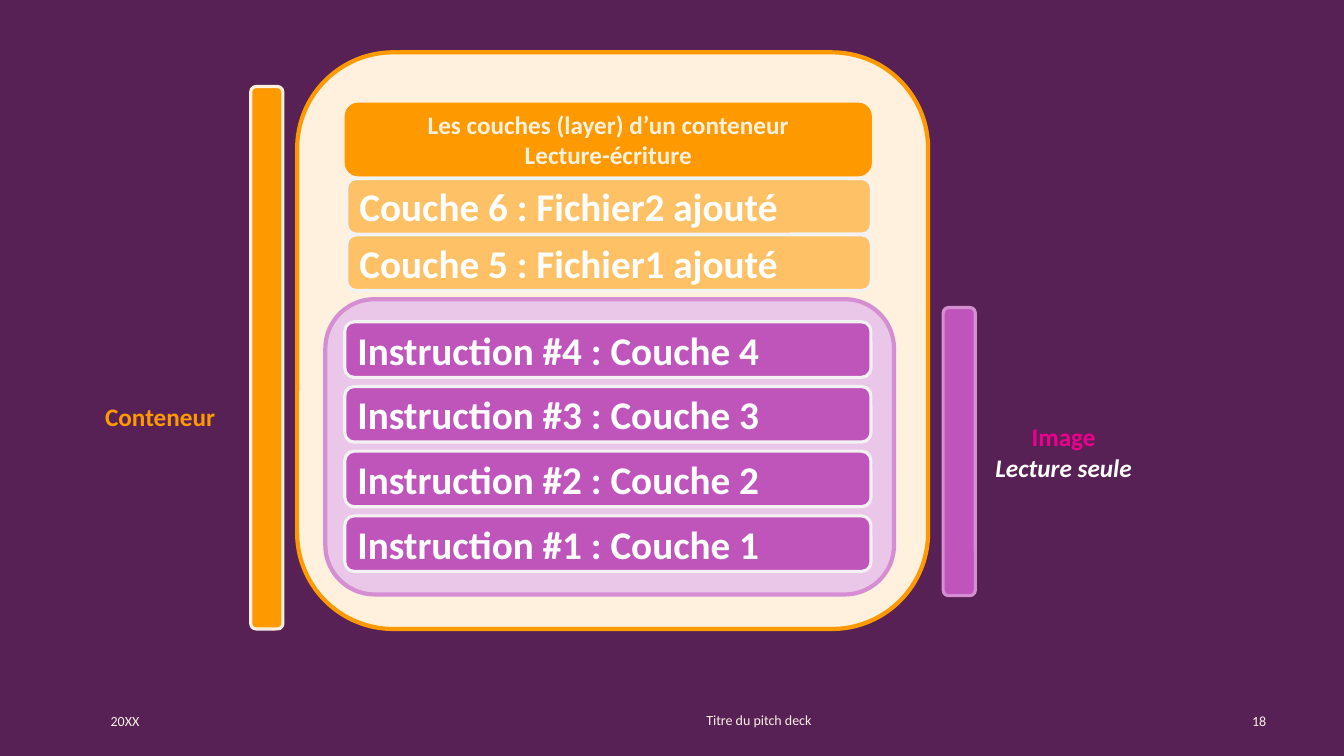
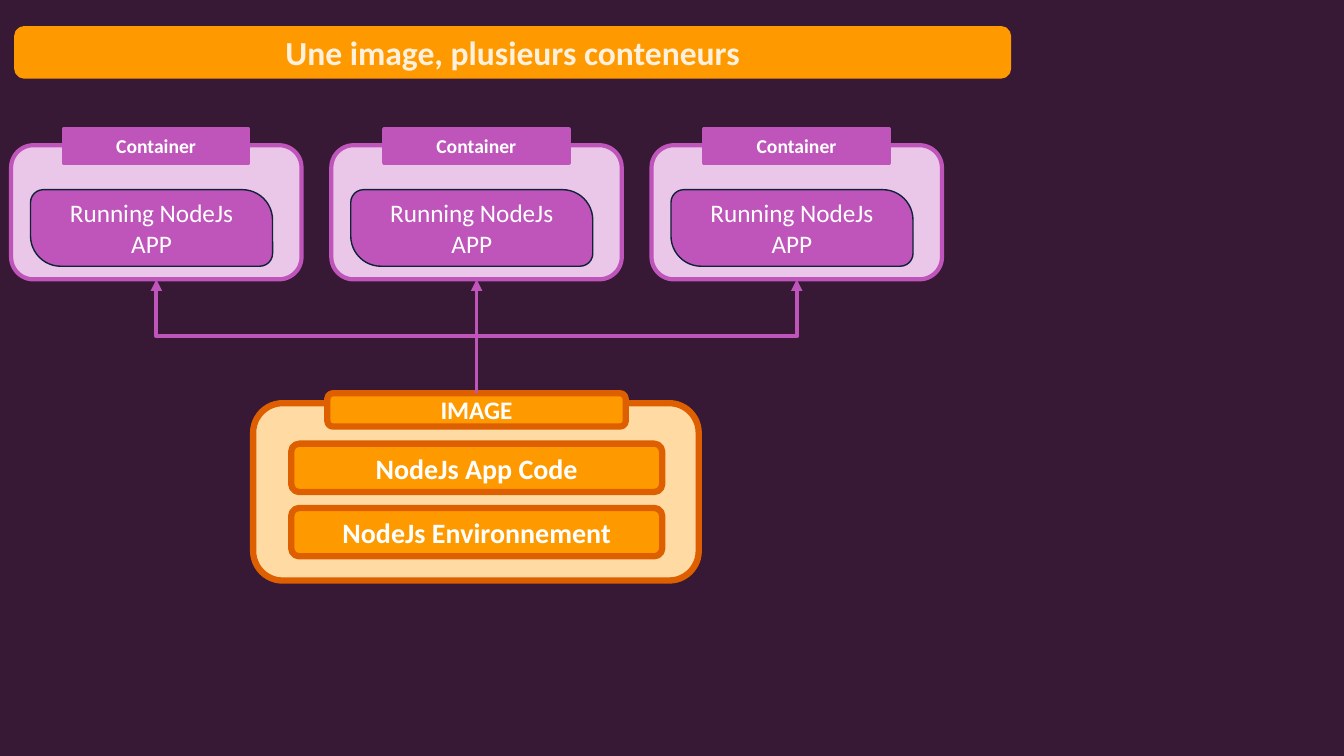
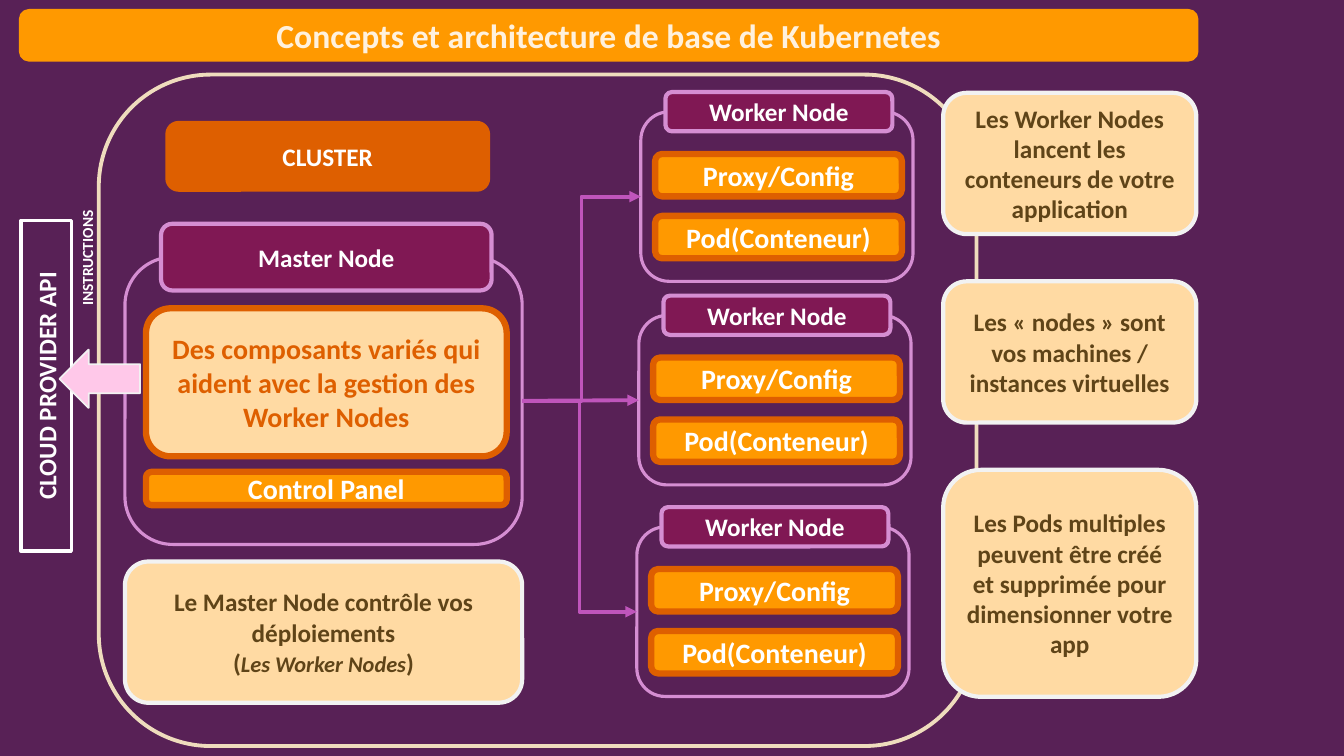
"""Build three slides on container layers, images and Kubernetes architecture."""
from lxml import etree
from pptx import Presentation
from pptx.dml.color import RGBColor
from pptx.enum.shapes import MSO_CONNECTOR as Connector, MSO_SHAPE as Shape
from pptx.enum.text import MSO_ANCHOR as Anchor, MSO_AUTO_SIZE as AutoSize, PP_ALIGN as Align
from pptx.oxml.ns import qn
from pptx.util import Cm, Pt

color = RGBColor.from_string
FONT = "Calibri"
PLUM, DARK_PLUM = "582156", "371835"
WHITE, OFF_WHITE, CREAM, PEACH = "FFFFFF", "F2F2F2", "FFF1DD", "FFDAA3"
ORANGE, BURNT = "FF9900", "DE5F00"
VIOLET, LILAC, PALE_LILAC = "BF55BB", "D58ED2", "EAC6E8"

BAND = dict(fill=ORANGE, line=ORANGE, weight=3)
ORANGE_BOX = dict(fill=ORANGE, line=BURNT, weight=4.5)
PEACH_BOX = dict(fill=PEACH, line=BURNT, weight=4.5)
NODE_FRAME = dict(line=LILAC, weight=2.25)
NODE_LABEL = dict(fill="801854", line=LILAC, weight=3)
NOTE = dict(fill=PEACH, line=OFF_WHITE, weight=3, font_color="5F4418")
LAYER = dict(line=OFF_WHITE, weight=2.25, size=28, align=Align.LEFT)


def write(shape, text, size=18, font_color=WHITE, bold=True, align=Align.CENTER, vertical=False):
    """Fill a shape with text: a line per paragraph, runs separated by bars."""
    frame = shape.text_frame
    frame.word_wrap = True
    frame.auto_size = AutoSize.NONE
    frame.vertical_anchor = Anchor.MIDDLE
    if vertical:
        shape.element.txBody.find(qn("a:bodyPr")).set("vert", "vert270")
    for index, line in enumerate(text.split("\n")):
        paragraph = frame.add_paragraph() if index else frame.paragraphs[0]
        paragraph.alignment = align
        for part in line.split("|"):
            run = paragraph.add_run()
            run.text = part
            run.font.name = FONT
            run.font.size = Pt(size)
            run.font.bold = bold
            run.font.color.rgb = color(font_color)


def add_box(slide, box, text="", kind=Shape.ROUNDED_RECTANGLE, fill=None, line=None, weight=1, **text_format):
    """Add a shape at a box given in centimetres, with optional fill, line and text."""
    shape = slide.shapes.add_shape(kind, *map(Cm, box))
    shape.shadow.inherit = False
    if fill:
        shape.fill.solid()
        shape.fill.fore_color.rgb = color(fill)
    else:
        shape.fill.background()
    if line:
        shape.line.color.rgb = color(line)
        shape.line.width = Pt(weight)
    else:
        shape.line.fill.background()
    if text:
        write(shape, text, **text_format)
    return shape


presentation = Presentation()
presentation.slide_width, presentation.slide_height = Cm(33.87), Cm(19.05)

titles = [
    (PLUM, "Les couches (layer) d’un conteneur\nLecture-écriture", (8.74, 2.64, 13.18, 1.75), 18),
    (DARK_PLUM, "Une image, plusieurs conteneurs", (0.41, 0.71, 25.02, 1.22), 24),
    (PLUM, "Concepts et architecture de base de Kubernetes", (0.53, 0.28, 29.62, 1.22), 24),
]
for background, *rest in titles:
    slide = presentation.slides.add_slide(presentation.slide_layouts[5])
    slide.background.fill.solid()
    slide.background.fill.fore_color.rgb = color(background)
layers, containers, cluster = presentation.slides

add_box(layers, (7.49, 1.32, 15.9, 14.53), kind=Shape.FLOWCHART_ALTERNATE_PROCESS,
        fill=CREAM, line=ORANGE, weight=3)
add_box(layers, (8.2, 7.54, 14.33, 7.44), kind=Shape.FLOWCHART_ALTERNATE_PROCESS,
        fill=PALE_LILAC, line=LILAC, weight=3)
for number in range(1, 5):
    add_box(layers, (8.69, 14.63 - 1.63 * number, 13.26, 1.4),
            f"Instruction #{number} : Couche {number}", fill=VIOLET, **LAYER)
for top, text in [(5.92, "Couche 5 : Fichier1 ajouté"), (4.5, "Couche 6 : Fichier2 ajouté")]:
    add_box(layers, (8.74, top, 13.22, 1.4), text, fill="FFC165", **LAYER)
add_box(layers, (23.77, 7.75, 0.81, 7.26), fill=VIOLET, line=LILAC, weight=2.25)
add_box(layers, (6.32, 2.18, 0.81, 13.67), fill=ORANGE, line=CREAM, weight=2.25)

footer = dict(size=10, font_color="F8F0E3", bold=False)
labels = [
    ((2.54, 17.65, 3.05, 1.02), "20XX", dict(footer, align=Align.LEFT)),
    ((15.95, 17.63, 6.35, 1.02), "Titre du pitch deck", footer),
    ((30.89, 17.65, 1.27, 1.02), "18", dict(footer, align=Align.RIGHT)),
    ((1.47, 9.98, 5.13, 1.02), "Conteneur", dict(font_color=ORANGE)),
    ((23.77, 10.49, 6.07, 1.8), "Image\nLecture seule", dict(font_color="EC008C")),
]
for box, text, text_format in labels:
    label = layers.shapes.add_textbox(*map(Cm, box))
    write(label, text, **text_format)
read_only = label.text_frame.paragraphs[1].runs[0].font
read_only.italic = True
read_only.color.rgb = color(WHITE)

container_frames = []
for index in range(3):
    left = 0.28 + 8.07 * index
    container_frames.append(add_box(containers, (left, 3.66, 7.32, 3.38),
                                    fill=PALE_LILAC, line=VIOLET, weight=3))
    application = add_box(containers, (left + 0.49, 4.78, 6.1, 1.93), "Running NodeJs\nAPP",
                          kind=Shape.ROUND_2_DIAG_RECTANGLE, fill=VIOLET, line="0F2238", bold=False)
    application.adjustments[0], application.adjustments[1] = 0.167, 0.396
    add_box(containers, (left + 1.32, 3.25, 4.67, 0.86), "Container", kind=Shape.RECTANGLE,
            fill=VIOLET, line=VIOLET, weight=2.25, size=14)
add_box(containers, (6.38, 10.16, 11.23, 4.47), **PEACH_BOX)
image_label = add_box(containers, (8.25, 9.91, 7.52, 0.84), "IMAGE", **ORANGE_BOX)
for top, text in [(11.18, "NodeJs App Code"), (12.8, "NodeJs Environnement")]:
    add_box(containers, (7.34, top, 9.35, 1.22), text, size=20, **ORANGE_BOX)

add_box(cluster, (2.49, 1.88, 22.12, 16.92), line="EFDCBD", weight=2.75)
worker_frames = []
for left, top in [(16.15, 2.82), (16.1, 7.95), (16.05, 13.28)]:
    worker_frames.append(add_box(cluster, (left, top, 6.86, 4.27), **NODE_FRAME))
    add_box(cluster, (left + 0.62, top - 0.5, 5.72, 0.99), "Worker Node", **NODE_LABEL)
    for offset, text in [(1.06, "Proxy/Config"), (2.62, "Pod(Conteneur)")]:
        add_box(cluster, (left + 0.36, top + offset, 6.22, 1.07), text, size=20, **ORANGE_BOX)

master_frame = add_box(cluster, (3.15, 6.48, 10.01, 7.24), **NODE_FRAME)
add_box(cluster, (4.06, 5.64, 8.33, 1.68), "Master Node", **NODE_LABEL)
add_box(cluster, (3.68, 7.77, 9.09, 3.73),
        "Des composants variés qui aident avec la gestion des Worker Nodes",
        size=20, font_color=BURNT, **PEACH_BOX)
add_box(cluster, (3.68, 11.89, 9.09, 0.84), "Control Panel", size=20, **ORANGE_BOX)

notes = [
    ((23.77, 2.34, 6.38, 3.56), "Les Worker Nodes lancent les conteneurs de votre application"),
    ((23.77, 7.09, 6.38, 3.56), "Les « nodes » sont vos machines / instances virtuelles"),
    ((23.77, 11.84, 6.38, 5.72),
     "Les Pods multiples peuvent être créé et supprimée pour dimensionner votre app"),
    ((3.15, 14.15, 10.01, 3.56), "Le Master Node contrôle vos déploiements\n(|Les Worker Nodes|)"),
]
for box, text in notes:
    note = add_box(cluster, box, text, **NOTE)
worker_mention = note.text_frame.paragraphs[1].runs[1].font
worker_mention.italic = True
worker_mention.size = Pt(16)

add_box(cluster, (4.22, 3.1, 8.08, 1.68), "CLUSTER", fill=BURNT, line=BURNT, weight=3)
add_box(cluster, (0.53, 5.56, 1.27, 8.33), "CLOUD PROVIDER API", kind=Shape.RECTANGLE,
        line=WHITE, weight=2.5, vertical=True)
add_box(cluster, (1.5, 8.81, 2.03, 1.47), kind=Shape.LEFT_ARROW,
        fill="FFC8E9", line=OFF_WHITE, weight=1.25)
instructions = cluster.shapes.add_textbox(Cm(1.7), Cm(2.34), Cm(0.99), Cm(8.33))
write(instructions, "INSTRUCTIONS", size=11, vertical=True)

links = [(containers, image_label, 0, frame, 2) for frame in container_frames]
links += [(cluster, master_frame, 3, frame, 1) for frame in worker_frames]
for index, (slide, source, start_side, target, end_side) in enumerate(links):
    kind = Connector.STRAIGHT if index % 3 == 1 else Connector.ELBOW
    connector = slide.shapes.add_connector(kind, 0, 0, 0, 0)
    connector.begin_connect(source, start_side)
    connector.end_connect(target, end_side)
    if kind == Connector.ELBOW and start_side == 0:
        across, rise = connector.width, connector.height
        center_x = connector.left + across // 2
        center_y = connector.top + rise // 2
        connector.left, connector.top = center_x - rise // 2, center_y - across // 2
        connector.width, connector.height = rise, across
        connector.rotation = 270
        transform = connector.element.spPr.find(qn("a:xfrm"))
        transform.set("flipH", "0")
        transform.set("flipV", "1" if target.left < source.left else "0")
    connector.line.color.rgb = color(VIOLET)
    connector.line.width = Pt(2.75)
    properties = connector.element.spPr
    etree.SubElement(properties.find(qn("a:ln")), qn("a:tailEnd"), type="triangle")
    etree.SubElement(properties, qn("a:effectLst"))

for slide, (background, text, box, size) in zip(presentation.slides, titles):
    band = add_box(slide, box, **BAND)
    title = slide.shapes.title
    title.left, title.top, title.width, title.height = map(Cm, box)
    write(title, text, size=size, font_color=CREAM)
    band.element.addnext(title.element)

presentation.save("out.pptx")
